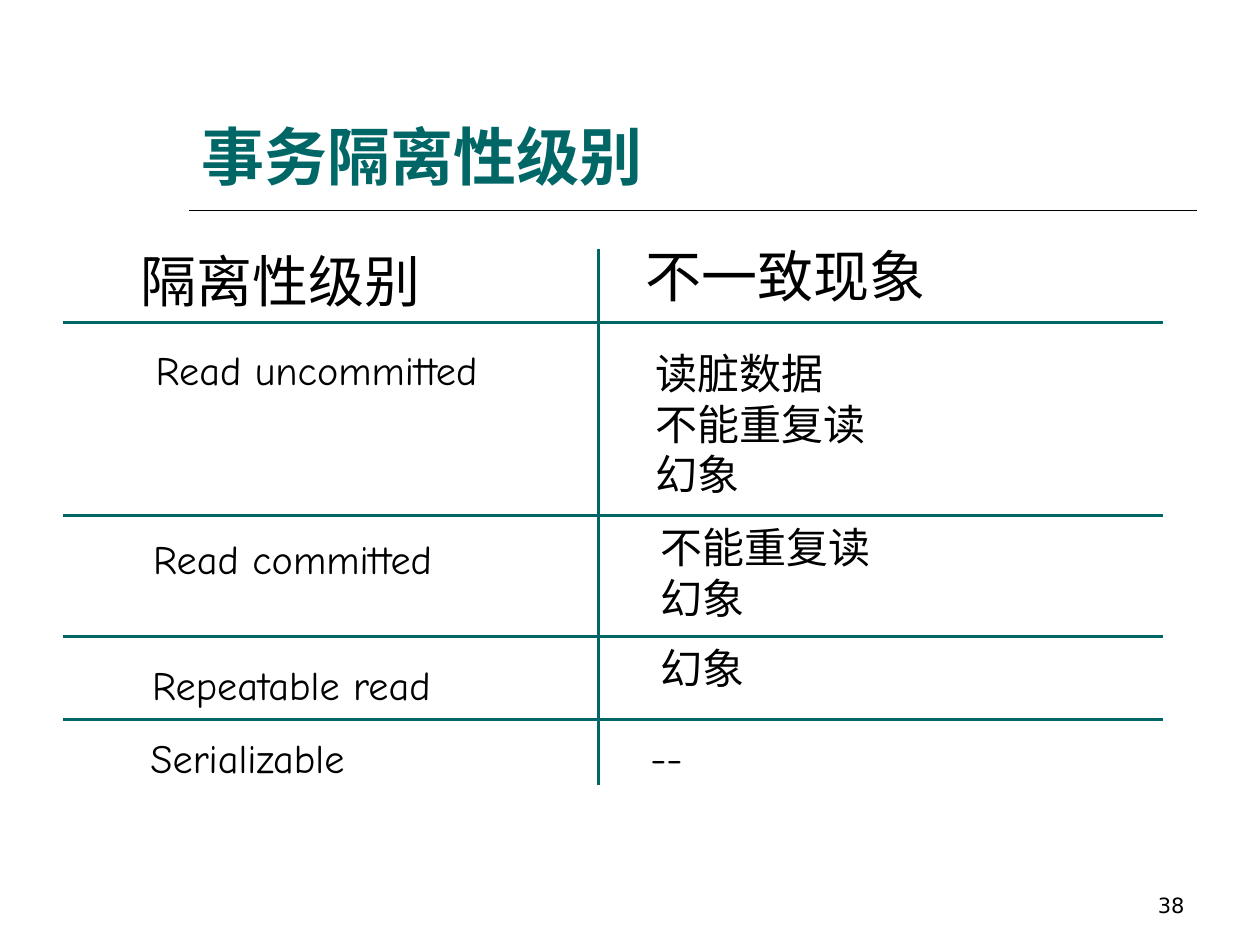
from lxml import etree
from pptx import Presentation
from pptx.dml.color import RGBColor
from pptx.enum.shapes import MSO_CONNECTOR as Connector
from pptx.enum.text import MSO_ANCHOR as Anchor, PP_ALIGN as Align
from pptx.oxml.ns import qn
from pptx.util import Inches, Pt

TEAL = RGBColor(0x00, 0x66, 0x66)
BLACK = RGBColor(0x00, 0x00, 0x00)

HEADINGS = [("隔离性级别", 1.11, 1.96), ("不一致现象", 5.12, 1.92)]
LEVELS = [
    ("Read uncommitted", 1.23, 2.74, 2.57),
    ("Read committed", 1.21, 4.24, 2.23),
    ("Repeatable read", 1.2, 5.24, 2.23),
    ("Serializable", 1.19, 5.82, 1.55),
    ("--", 5.16, 5.81, 0.26),
]
ANOMALIES = [
    (["读脏数据", "不能重复读", "幻象"], 5.2, 2.76, 1.67),
    (["不能重复读", "幻象"], 5.24, 4.14, 1.67),
    (["幻象"], 5.24, 5.1, 0.67),
]


def add_text(page, box, lines, font, size, color=BLACK, bold=False,
             align=Align.LEFT, anchor=Anchor.TOP, margins=(0, 0),
             wrap=False, spacing=None):
    """Place lines of text in box (left, top, width, height in inches)."""
    frame = page.shapes.add_textbox(*map(Inches, box)).text_frame
    frame.word_wrap = wrap
    frame.vertical_anchor = anchor
    frame.margin_left = frame.margin_right = Inches(margins[0])
    frame.margin_top = frame.margin_bottom = Inches(margins[1])
    frame.text = "\n".join(lines)
    for para in frame.paragraphs:
        para.alignment = align
        para.line_spacing = spacing
        para.font.name = font
        para.font.size = Pt(size)
        para.font.bold = bold
        para.font.color.rgb = color
        # Chinese characters use the East Asian font slot
        latin = para.font._element.find(qn("a:latin"))
        east_asian = etree.Element(qn("a:ea"), typeface=font)
        latin.addnext(east_asian)


def add_line(page, start, end, color, width):
    line = page.shapes.add_connector(
        Connector.STRAIGHT, *map(Inches, (*start, *end)))
    line.line.color.rgb = color
    line.line.width = Pt(width)
    etree.SubElement(line._element.spPr, qn("a:effectLst"))


def add_header(page, left, top, width, height):
    """Title with a thin rule below it."""
    add_text(page, (left, top, width, height), ["事务隔离性级别"], "Arial", 36,
             TEAL, bold=True, anchor=Anchor.BOTTOM, margins=(0.1, 0.05),
             wrap=True)
    rule = top + height + 0.09
    add_line(page, (left, rule), (left + width, rule), BLACK, 1)


def add_comparison(page, left, top, width, height):
    """Isolation levels and their anomalies, divided by teal rules."""
    # Headings
    for text, x, y in HEADINGS:
        add_text(page, (x, y, 2.23, 0.53), [text], "Cabin", 32,
                 align=Align.CENTER)
    # Isolation levels
    for text, x, y, span in LEVELS:
        add_text(page, (x, y, span, 0.38), [text], "Comic Neue", 23,
                 align=Align.CENTER)
    # Anomalies of each level
    for lines, x, y, span in ANOMALIES:
        add_text(page, (x, y, span, 0.4 * len(lines)), lines,
                 "Noto Sans CJK JP", 24, spacing=Pt(28.8))
    # Column divider and row rules
    divider = left + 4.25
    add_line(page, (divider, top), (divider, top + height), TEAL, 2)
    for y in (2.56, 4.09, 5.05, 5.71):
        add_line(page, (left, y), (left + width, y), TEAL, 2)


def add_page_number(page, *box):
    add_text(page, box, ["38"], "DejaVu Sans", 12, align=Align.RIGHT,
             anchor=Anchor.BOTTOM, margins=(0.1, 0.05), wrap=True)


def main():
    deck = Presentation()
    deck.slide_width, deck.slide_height = Inches(10), Inches(7.5)
    page = deck.slides.add_slide(deck.slide_layouts[6])
    add_header(page, 1.5, 0.33, 8, 1.25)
    add_comparison(page, 0.5, 1.98, 8.73, 4.25)
    add_page_number(page, 7.17, 6.83, 2.33, 0.5)
    deck.save("out.pptx")


if __name__ == "__main__":
    main()
